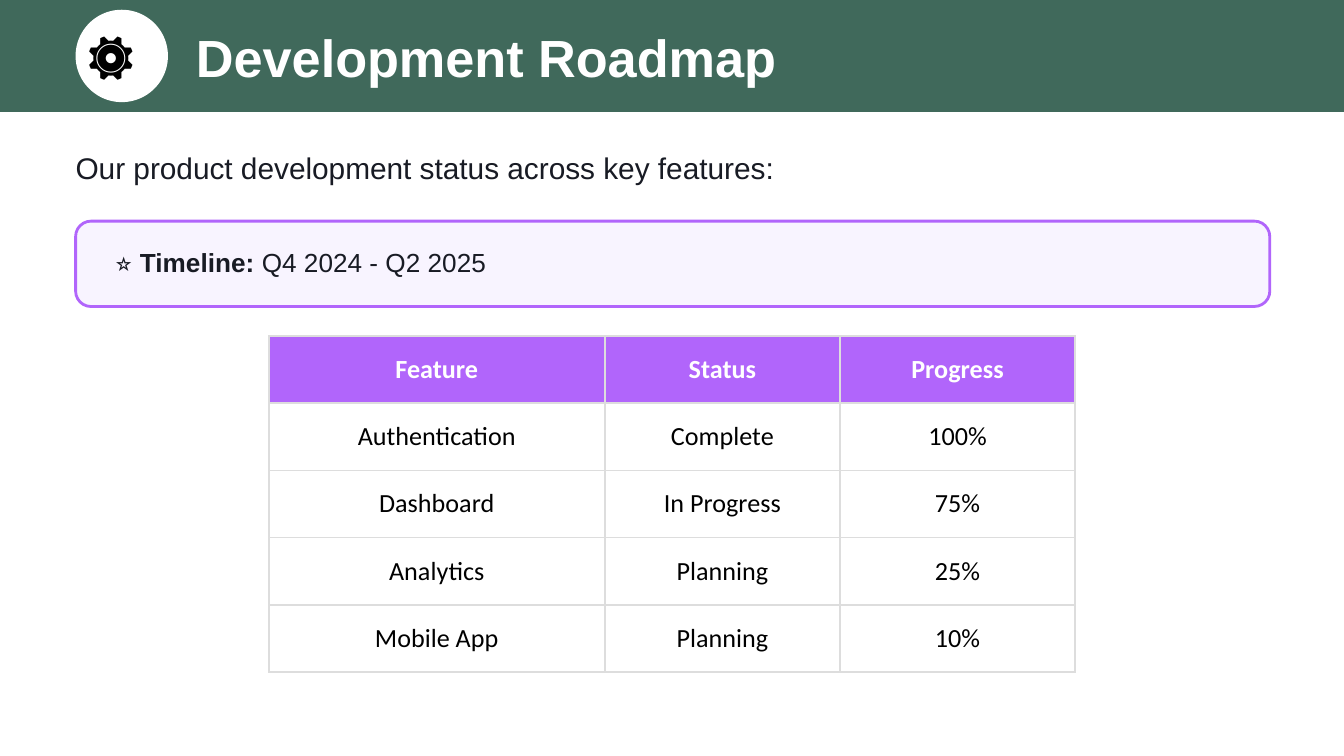
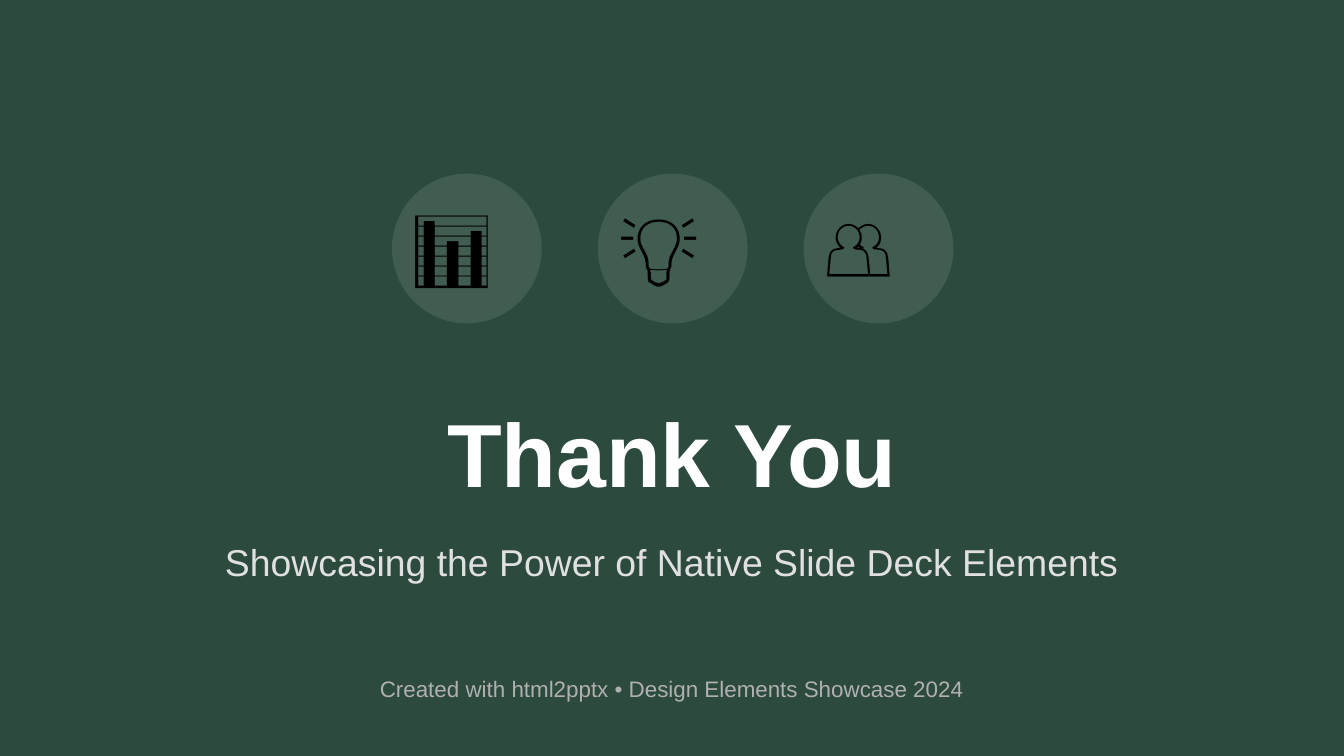
from lxml.etree import SubElement
from pptx import Presentation
from pptx.dml.color import RGBColor
from pptx.enum.shapes import MSO_SHAPE
from pptx.enum.text import MSO_ANCHOR, PP_ALIGN
from pptx.oxml.ns import qn
from pptx.util import Pt

PX = 9525
WIDTH, HEIGHT = 960, 540
MARGIN = 54
FONT, TABLE_FONT = "Arial", "Calibri"
BAND, DARK, PURPLE, LILAC = "40695B", "2C4A3E", "B165FB", "F8F4FF"
WHITE, BLACK, INK, RULE = "FFFFFF", "000000", "181B24", "DDDDDD"
SOFT, FAINT = "E0E0E0", "B0B0B0"

FEATURES = [
    ("Feature", "Status", "Progress"),
    ("Authentication", "Complete", "100%"),
    ("Dashboard", "In Progress", "75%"),
    ("Analytics", "Planning", "25%"),
    ("Mobile App", "Planning", "10%"),
]


def rgb(color):
    """Turn a hex string into a colour."""
    return RGBColor.from_string(color)


def emu(*lengths):
    """Scale px lengths to EMU."""
    return [n * PX for n in lengths]


def add_run(p, text, size=14, color=INK, bold=False, font=FONT):
    """Append formatted text to a paragraph."""
    r = p.add_run()
    r.text = text
    r.font.name, r.font.size, r.font.bold = font, Pt(size), bold
    r.font.color.rgb = rgb(color)


def add_text(s, box, text, align=PP_ALIGN.LEFT, after=0, **fmt):
    """Place a text box without insets and return its paragraph."""
    tf = s.shapes.add_textbox(*emu(*box)).text_frame
    tf.word_wrap = True
    tf.margin_left = tf.margin_top = tf.margin_right = tf.margin_bottom = 0
    p = tf.paragraphs[0]
    p.alignment, p.space_after = align, Pt(after)
    add_run(p, text, **fmt)
    return p


def add_panel(s, box, fill, radius=0, line=None, alpha=None):
    """Draw a filled rectangle, rounded when a radius in px is given."""
    kind = MSO_SHAPE.ROUNDED_RECTANGLE if radius else MSO_SHAPE.RECTANGLE
    sp = s.shapes.add_shape(kind, *emu(*box))
    sp.shadow.inherit = False
    if radius:
        sp.adjustments[0] = min(0.5, radius / min(box[2:]))
    sp.fill.solid()
    sp.fill.fore_color.rgb = rgb(fill)
    if alpha:
        clr = next(sp.fill._xPr.iter(qn("a:srgbClr")))
        SubElement(clr, qn("a:alpha"), val=str(alpha * 1000))
    if line:
        sp.line.color.rgb = rgb(line)
        sp.line.width = Pt(1.5)
    else:
        sp.line.fill.background()


def add_badge(s, box, icon, inset, size, alpha=None):
    """Draw a white disc with an icon inside."""
    x, y, w, h = box
    dx, dy = inset
    add_panel(s, box, WHITE, radius=w, alpha=alpha)
    add_text(s, (x + dx, y + dy, w - 2 * dx + 2, h - 2 * dy), icon,
             size=size, color=BLACK)


def add_header(s, box, icon, title):
    """Draw the title band with its icon badge."""
    x, y, w, h = box
    add_panel(s, box, BAND)
    add_badge(s, (x + MARGIN, y + 7, 66, 66), icon, (8, 8), 28)
    add_text(s, (x + 140, y + 18, 423, 43), title, size=28, color=WHITE, bold=True)


def add_callout(s, box, label, text):
    """Draw the outlined callout with a bold label."""
    x, y, w, h = box
    add_panel(s, box, LILAC, radius=11, line=PURPLE)
    p = add_text(s, (x + 28, y + 18, w - 41, 25), label, bold=True)
    add_run(p, text)


def add_borders(cell):
    """Rule all four sides of a cell."""
    tcPr = cell._tc.get_or_add_tcPr()
    for side in ("lnL", "lnR", "lnT", "lnB"):
        ln = SubElement(tcPr, qn(f"a:{side}"), w=str(Pt(1)))
        SubElement(SubElement(ln, qn("a:solidFill")), qn("a:srgbClr"), val=RULE)


def add_grid(s, box, rows, widths):
    """Build a centred table with a coloured header row."""
    table = s.shapes.add_table(len(rows), len(widths), *emu(*box)).table
    table.first_row = table.horz_banding = False
    for col, width in zip(table.columns, widths):
        col.width = width * PX
    for i, values in enumerate(rows):
        head = i == 0
        table.rows[i].height = box[3] * PX // len(rows)
        for j, value in enumerate(values):
            cell = table.cell(i, j)
            cell.vertical_anchor = MSO_ANCHOR.MIDDLE
            add_borders(cell)
            if head:
                cell.fill.solid()
                cell.fill.fore_color.rgb = rgb(PURPLE)
            else:
                cell.fill.background()
            p = cell.text_frame.paragraphs[0]
            p.alignment = PP_ALIGN.CENTER
            add_run(p, value, color=WHITE if head else BLACK, bold=head,
                    font=TABLE_FONT)


def add_icon_row(s, box, icons, gap):
    """Spread translucent icon badges from the left of the box."""
    x, y, w, h = box
    for i, icon in enumerate(icons):
        add_badge(s, (x + i * (h + gap), y, h, h), icon, (15, 16), 42, alpha=10)


def add_slide(prs, background):
    """Add a blank slide with a solid background."""
    s = prs.slides.add_slide(prs.slide_layouts[6])
    s.background.fill.solid()
    s.background.fill.fore_color.rgb = rgb(background)
    return s


def roadmap_slide(prs):
    """Build the roadmap with callout and status table."""
    s = add_slide(prs, WHITE)
    add_header(s, (0, 0, WIDTH, 80), "⚙️", "Development Roadmap")
    add_text(s, (MARGIN, 107, 871, 25),
             "Our product development status across key features:",
             size=16, after=20)
    add_callout(s, (MARGIN, 158, WIDTH - 2 * MARGIN + 1, 61),
                "⭐ Timeline:", " Q4 2024 - Q2 2025")
    add_grid(s, (192, 240, 576, 240), FEATURES, (240, 168, 168))


def closing_slide(prs):
    """Build the closing slide."""
    s = add_slide(prs, DARK)
    add_icon_row(s, (280, 124, 401, 107), "📊💡👥", 40)
    center = PP_ALIGN.CENTER
    add_text(s, (316, 284, 328, 74), "Thank You", center, 20,
             size=48, color=WHITE, bold=True)
    add_text(s, (151, 385, 658, 31),
             "Showcasing the Power of Native Slide Deck Elements", center,
             size=20, color=SOFT)
    add_text(s, (-10, 482, WIDTH + 20, 18),
             "Created with html2pptx • Design Elements Showcase 2024", center,
             size=12, color=FAINT)


def main():
    """Build and save the deck."""
    prs = Presentation()
    prs.slide_width, prs.slide_height = emu(WIDTH, HEIGHT)
    roadmap_slide(prs)
    closing_slide(prs)
    prs.save("out.pptx")


if __name__ == "__main__":
    main()
